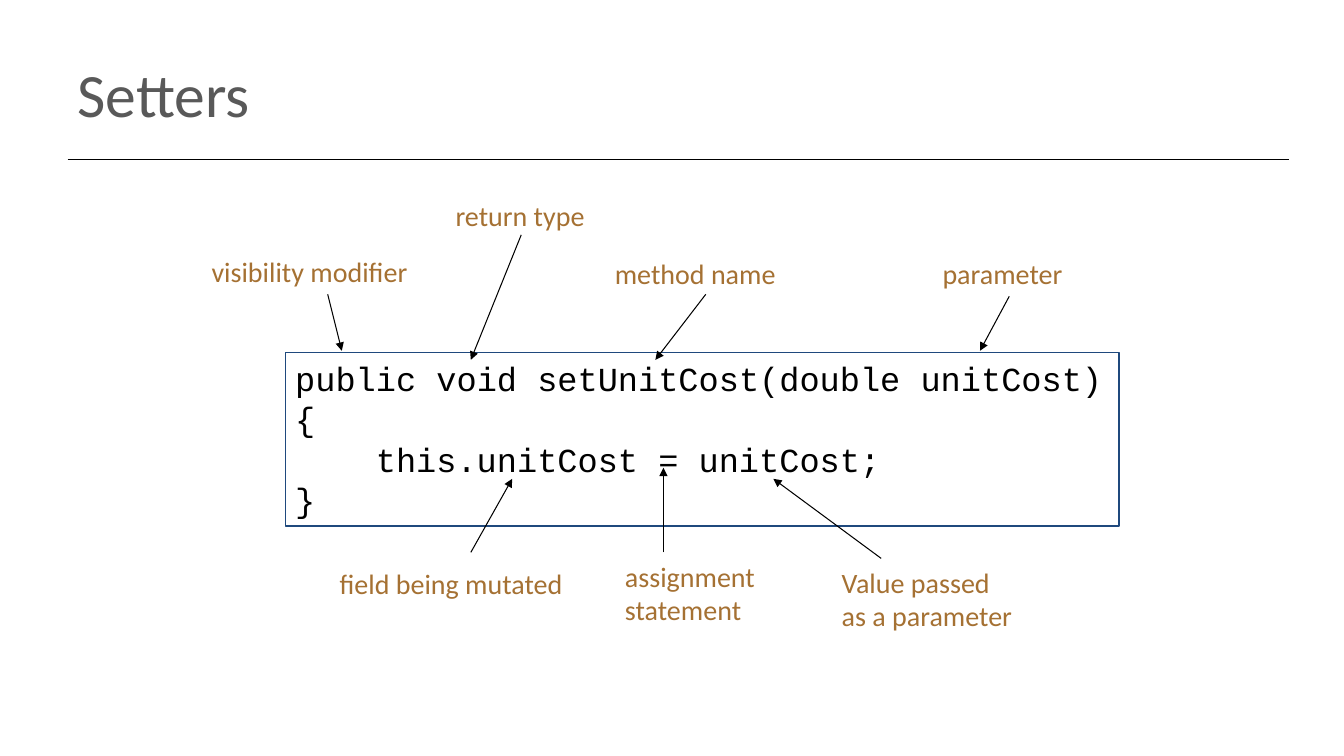
"""Builds the slide that names the parts of a setter method."""
from lxml import etree
from pptx import Presentation
from pptx import util as u
from pptx.dml.color import RGBColor
from pptx.enum import shapes, text
from pptx.oxml.ns import qn

PX = 9144
COLORS = {"title": "595959", "label": "A57133", "code": "000000",
          "line": "000000", "border": "1F497D"}

prs = Presentation()
prs.slide_width, prs.slide_height = 1333 * PX, 750 * PX
s = prs.slides.add_slide(prs.slide_layouts[6])


def write(sp, words, size, font, color, wrap=False):
    tf = sp.text_frame
    tf.text = words
    tf.word_wrap = wrap
    tf.auto_size = text.MSO_AUTO_SIZE.NONE if wrap else text.MSO_AUTO_SIZE.SHAPE_TO_FIT_TEXT
    tf.vertical_anchor = text.MSO_ANCHOR.MIDDLE if wrap else text.MSO_ANCHOR.TOP
    for p in tf.paragraphs:
        p.alignment = text.PP_ALIGN.LEFT
        for r in p.runs:
            r.font.size, r.font.name = u.Pt(size), font
            r.font.color.rgb = RGBColor.from_string(COLORS[color])
    return tf


def connect(ends, width, arrow=False):
    c = s.shapes.add_connector(shapes.MSO_CONNECTOR.STRAIGHT, *[v * PX for v in ends])
    c.line.width = u.Pt(width)
    c.line.color.rgb = RGBColor.from_string(COLORS["line"])
    if arrow:
        etree.SubElement(c.line._get_or_add_ln(), qn("a:tailEnd"), type="triangle")
    etree.SubElement(c._element.spPr, qn("a:effectLst"))


connect((67, 158, 1278, 158), 1)
title = s.shapes.add_textbox(67 * PX, 30 * PX, 1200 * PX, 125 * PX)
write(title, "Setters", 44, "Calibri", "title", wrap=True)

code = s.shapes.add_shape(shapes.MSO_SHAPE.RECTANGLE, 283 * PX, 350 * PX, 827 * PX, 172 * PX)
code.shadow.inherit = False
code.fill.background()
code.line.width = u.Pt(1)
code.line.color.rgb = RGBColor.from_string(COLORS["border"])
tf = write(code, "public void setUnitCost(double unitCost)\n{\nthis.unitCost = unitCost;\n}",
           24, "Courier New", "code")
body = tf.paragraphs[2]._p.get_or_add_pPr()
body.set("marL", str(80 * PX))
body.set("indent", "0")

labels = [
    ("return type", (442, 192, 149, 44), (517, 233, 467, 357)),
    ("method name", (600, 250, 181, 44), (700, 292, 650, 357)),
    ("parameter", (925, 250, 140, 44), (1001, 294, 972, 348)),
    ("visibility modifier", (200, 248, 217, 44), (325, 292, 339, 348)),
    ("assignment\nstatement", (610, 550, 157, 77), (658, 548, 658, 464)),
    ("field being mutated", (327, 557, 251, 44), (467, 548, 508, 475)),
    ("Value passed\nas a parameter", (825, 556, 194, 77), (874, 554, 767, 475)),
]
for words, box, ends in labels:
    label = s.shapes.add_textbox(*[v * PX for v in box])
    write(label, words, 20, "Calibri", "label")
    connect(ends, 0.75, arrow=True)

prs.save("out.pptx")
